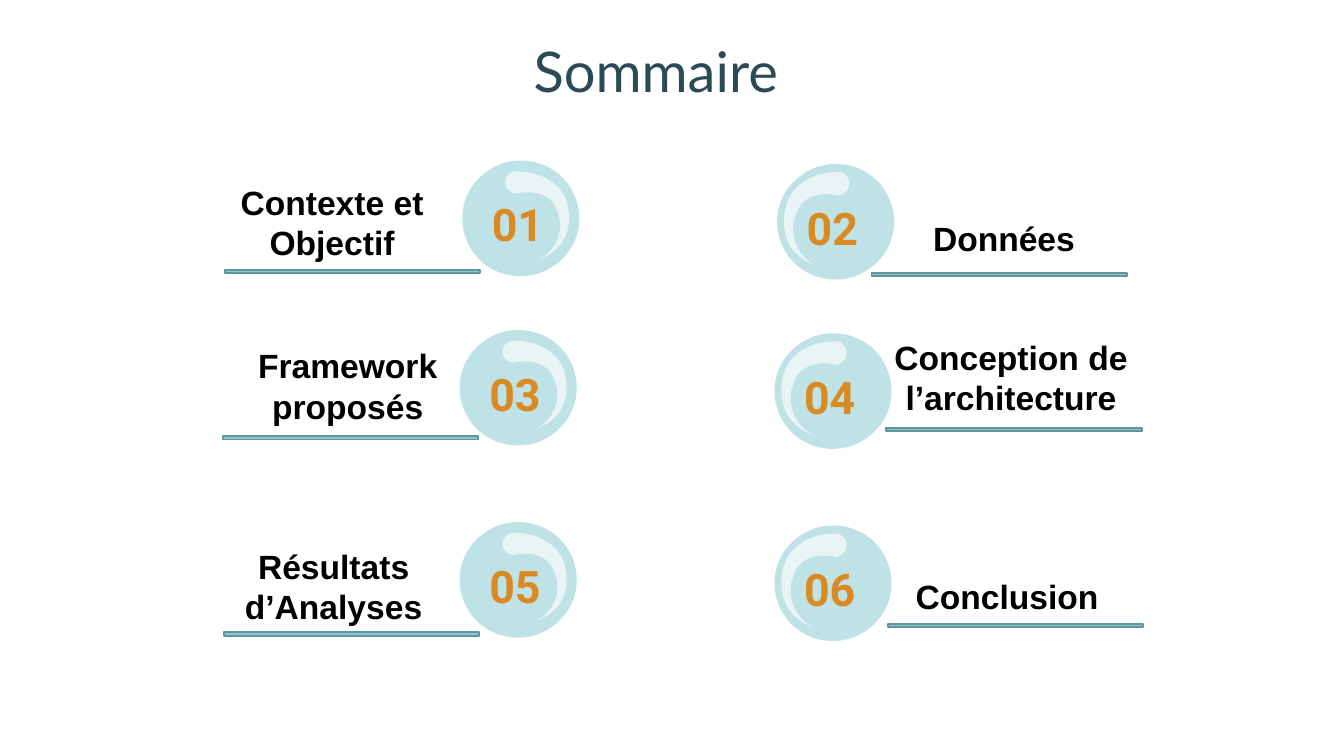
from lxml import etree
from pptx import Presentation
from pptx.dml.color import RGBColor
from pptx.enum.shapes import MSO_SHAPE
from pptx.enum.text import MSO_ANCHOR, PP_ALIGN
from pptx.oxml.ns import qn
from pptx.util import Pt

RECTANGLE = MSO_SHAPE.RECTANGLE
TOP, BOTTOM = MSO_ANCHOR.TOP, MSO_ANCHOR.BOTTOM
LEFT, CENTER = PP_ALIGN.LEFT, PP_ALIGN.CENTER

TEAL, WHITE, ORANGE = "47AEBA", "FFFFFF", "D98A23"
BAR_FILL, BAR_LINE = "85C9D1", "62959B"
TITLE_COLOR, BLACK = "2A4B56", "000000"

BAR_SIZE = (273.6, 3.6)
DISC_WIDTH, DISC_HEIGHT = 141.2, 123.8
HALF_DISC = [
    (56.9, 0), (43.2, 4.3), (31.7, 13.7),
    (4.3, 34.6), (0, 73.4), (21.6, 100.8),
    (33.8, 115.9), (51.8, 123.8), (70.6, 123.8),
]
DISC_CURVES = [(70.6, 0)] + HALF_DISC + [
    (DISC_WIDTH - x, DISC_HEIGHT - y) for x, y in HALF_DISC]
SHINE_CURVES = [
    (0, 0),
    (-0.7, 0), (-1.4, 0), (-2.2, 0.2),
    (-8.6, 1.4), (-13, 7.9), (-11.5, 14.4),
    (-10.1, 19.4), (-5, 23.8), (0.7, 23.8),
    (1.4, 23.8), (2.2, 23.4), (2.9, 23),
    (5.8, 23), (8.6, 22.3), (12.2, 22.3),
    (17.3, 22.3), (23, 23), (28.1, 25.2),
    (36, 28.1), (41.8, 34.6), (44.6, 43.9),
    (48.2, 52.6), (48.2, 62.6), (44.6, 72),
    (41, 81.4), (33.8, 89.3), (24.5, 94.3),
    (35.3, 90.7), (43.9, 84.2), (50.4, 74.9),
    (56.2, 64.8), (58.3, 52.6), (56.2, 41),
    (54.7, 28.1), (47.5, 16.6), (36.7, 10.1),
    (25.2, 2.9), (13.7, 0), (0, 0),
]

ROWS = [(487.4, 172.1), (484.6, 353.5), (484.6, 559.4)]
RIGHT_SHIFT = (337.3, 3.6)

# label, (label left, top, width), (bar left, top)
ENTRIES = [
    ("Contexte et Objectif", (203.2, 180, 305.3), (241.2, 288.9)),
    ("Données", (934.6, 218.9, 282.2), (933.8, 292.3)),
    ("Framework proposés", (213.8, 355.4, 317.5), (238.6, 467.3)),
    ("Conception de l’architecture", (924.5, 346.3, 317.5), (949.7, 458.6)),
    ("Résultats d’Analyses", (198.7, 570.2, 317.5), (239.8, 677.5)),
    ("Conclusion", (920.2, 603.1, 317.5), (951.1, 668.2)),
]


def color(value):
    return RGBColor.from_string(value)


def paint(shape, fill, opacity=100):
    shape.shadow.inherit = False
    shape.fill.solid()
    shape.fill.fore_color.rgb = color(fill)
    shape.line.fill.background()
    if opacity < 100:
        tone = shape._element.spPr.find(qn("a:solidFill")).find(qn("a:srgbClr"))
        etree.SubElement(tone, qn("a:alpha"), val=str(opacity * 1000))


def add_text(page, text, area, size, font, tone, align=CENTER, anchor=TOP,
             bold=True, inset=14.4, spacing=None):
    box = page.shapes.add_textbox(*map(Pt, area))
    frame = box.text_frame
    frame.word_wrap = True
    frame.vertical_anchor = anchor
    frame.margin_left = frame.margin_right = Pt(inset)
    frame.margin_top = frame.margin_bottom = Pt(inset)
    para = frame.paragraphs[0]
    para.alignment = align
    if spacing:
        para.line_spacing = Pt(spacing)
    span = para.add_run()
    span.text = text
    span.font.size = Pt(size)
    span.font.name = font
    span.font.bold = bold
    span.font.color.rgb = color(tone)


def add_curved(shapes, curves, left, top, fill, opacity, scale_x=1, scale_y=1):
    points = [(Pt(left + scale_x * x), Pt(top + scale_y * y)) for x, y in curves]
    builder = shapes.build_freeform(*points[0])
    builder.add_line_segments(points[1:], close=True)
    shape = builder.convert_to_shape()
    lines = list(shape._element.iter(qn("a:lnTo")))
    for start in range(0, len(lines), 3):
        curve, *others = lines[start:start + 3]
        curve.tag = qn("a:cubicBezTo")
        for line in others:
            curve.append(line[0])
            line.getparent().remove(line)
    paint(shape, fill, opacity)


def add_bubble(page, number, left, top, on_right):
    shapes = page.shapes if on_right else page.shapes.add_group_shape().shapes
    add_curved(shapes, DISC_CURVES, left, top, TEAL, 35)
    if on_right:
        add_curved(shapes, SHINE_CURVES, left + 73.4, top + 8.6, WHITE, 65, -1.02, 1.06)
    else:
        add_curved(shapes, SHINE_CURVES, left + 65.5, top + 11.5, WHITE, 65)
    add_text(page, f"{number:02d}", (left + 25.2, top + 20.9, 85.7, 90),
             48, "Roboto", ORANGE, LEFT, BOTTOM)


def add_bar(page, left, top):
    bar = page.shapes.add_shape(RECTANGLE, *map(Pt, (left, top, *BAR_SIZE)))
    paint(bar, BAR_FILL)
    bar.line.color.rgb = color(BAR_LINE)
    bar.line.width = Pt(2)


def main():
    deck = Presentation()
    deck.slide_width, deck.slide_height = Pt(1440), Pt(810)
    page = deck.slides.add_slide(deck.slide_layouts[6])
    add_text(page, "Sommaire ", (82.5, 24.2, 1255.7, 85), 60, "Lato", TITLE_COLOR,
             bold=False, inset=0, spacing=87.2)
    for index, (label, (left, top, width), bar) in enumerate(ENTRIES):
        row, on_right = divmod(index, 2)
        disc_left, disc_top = (
            start + on_right * shift for start, shift in zip(ROWS[row], RIGHT_SHIFT))
        add_bubble(page, index + 1, disc_left, disc_top, on_right)
        add_text(page, label, (left, top, width, 90), 36, "Arial", BLACK)
        add_bar(page, *bar)
    deck.save("out.pptx")


if __name__ == "__main__":
    main()
